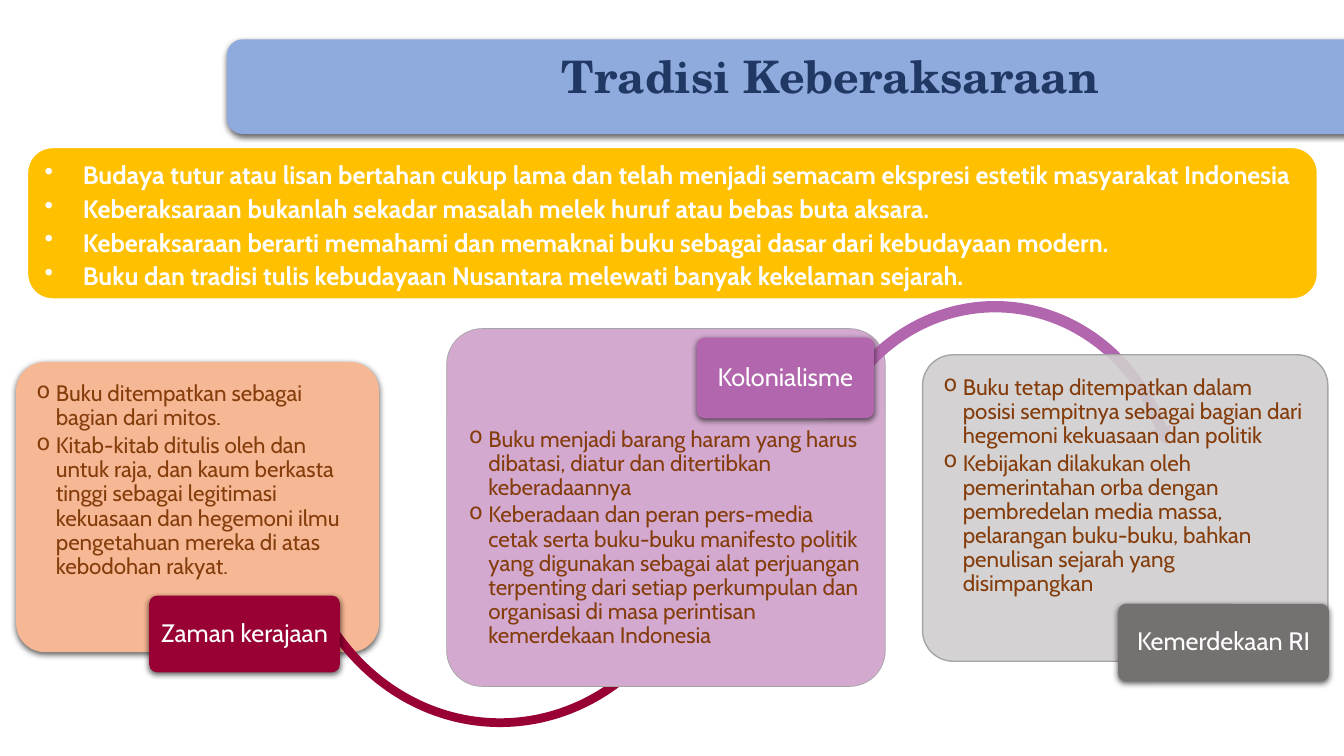
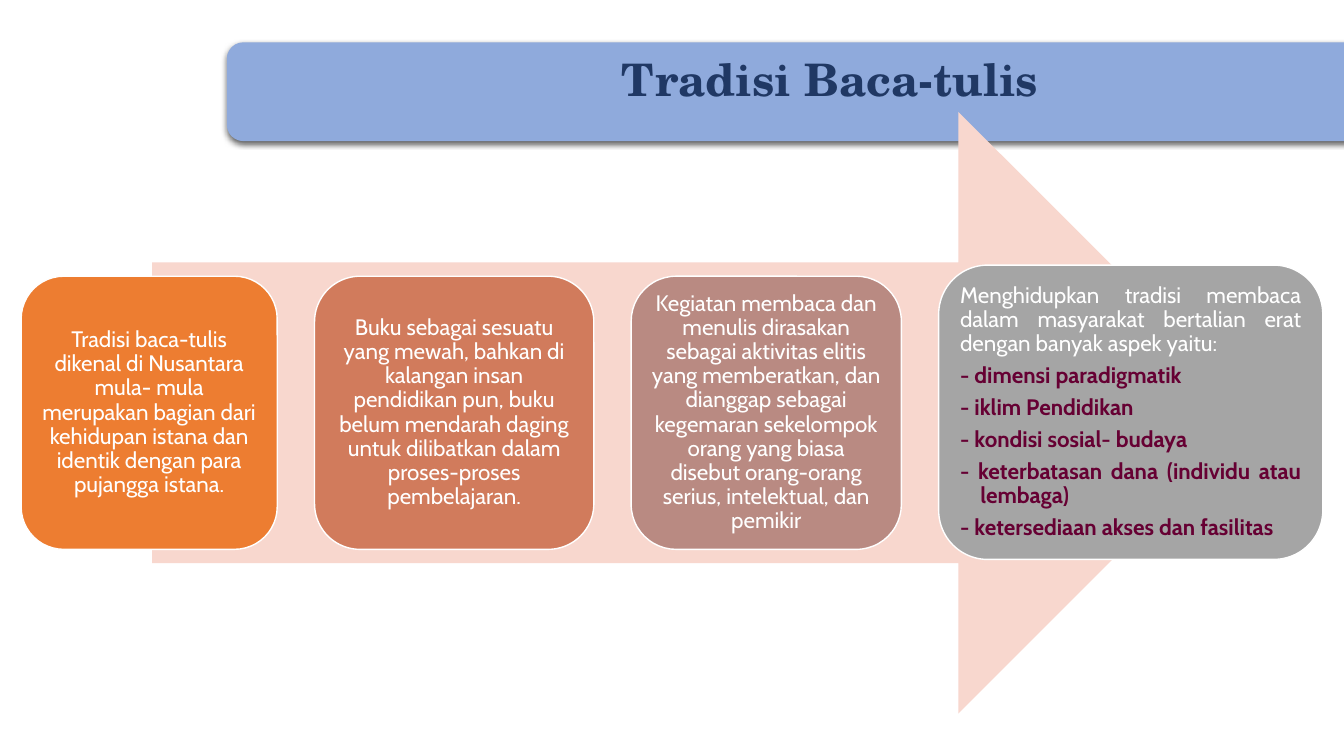
from dataclasses import dataclass, replace

from lxml import etree
from pptx import Presentation, util as u
from pptx.dml.color import RGBColor
from pptx.enum import shapes, text
from pptx.oxml.ns import qn

PX = 9144  # EMU: 100 px to the inch
WHITE = RGBColor(0xFF, 0xFF, 0xFF)
BLUE = RGBColor(0x8F, 0xAA, 0xDC)
NAVY = RGBColor(0x20, 0x38, 0x64)
GOLD = RGBColor(0xFF, 0xC0, 0x00)
BROWN = RGBColor(0x84, 0x3C, 0x0B)
PEACH = RGBColor(0xF6, 0xB7, 0x94)
CRIMSON = RGBColor(0x99, 0x00, 0x33)
LILAC = RGBColor(0xD3, 0xA9, 0xD0)
PURPLE = RGBColor(0xB2, 0x66, 0xAD)
SILVER = RGBColor(0xD0, 0xCE, 0xCE)
GREY = RGBColor(0xA5, 0xA5, 0xA5)
SLATE = RGBColor(0x76, 0x71, 0x71)
BLUSH = RGBColor(0xF8, 0xD7, 0xCE)
ORANGE = RGBColor(0xED, 0x7D, 0x31)
RUST = RGBColor(0xD1, 0x7B, 0x5C)
ROSE = RGBColor(0xB9, 0x8A, 0x82)
WINE = RGBColor(0x66, 0x00, 0x33)

KIND = shapes.MSO_SHAPE
ALIGN = text.PP_ALIGN
ANCHOR = text.MSO_ANCHOR
Rect = tuple[int, int, int, int]


@dataclass(frozen=True)
class Look:
    size: int = 16
    color: RGBColor = WHITE
    bold: bool = False
    font: str = "Cabin"
    align: ALIGN = ALIGN.CENTER
    lead: float = 0.9
    after: float = 5.6
    hang: int = 0
    bullet: str = ""


@dataclass(frozen=True)
class Form:
    """Fill, outline and effect of a shape."""
    fill: RGBColor
    line: RGBColor | None = None
    width: float = 1
    shadow: bool = False
    alpha: int = 100


@dataclass(frozen=True)
class Arc:
    kind: KIND
    rect: Rect
    bends: tuple[float, ...]


@dataclass(frozen=True)
class Era:
    rect: Rect
    form: Form
    top: int
    items: tuple[str, ...]
    tag: str
    place: Rect
    color: RGBColor
    arc: Arc | None = None


@dataclass(frozen=True)
class Step:
    width: int
    height: int
    fill: RGBColor
    lines: tuple[tuple[str, Look], ...]


TITLE = Look(32, NAVY, True, "TeX Gyre Schola", lead=1, after=0)
POINT = Look(18, bold=True, align=ALIGN.JUSTIFY, lead=1.12, after=0, hang=38, bullet="•")
ITEM = Look(color=BROWN, align=ALIGN.LEFT, after=2.4, hang=19, bullet="o")
TAG = Look(18)
BODY = Look()
LEAD = Look(align=ALIGN.JUSTIFY)
ASPECT = replace(LEAD, color=WINE, bold=True, hang=20)

POINTS = (
    "Budaya tutur atau lisan bertahan cukup lama dan telah menjadi semacam ekspresi estetik masyarakat Indonesia",
    "Keberaksaraan bukanlah sekadar masalah melek huruf atau bebas buta aksara.",
    "Keberaksaraan berarti memahami dan memaknai buku sebagai dasar dari kebudayaan modern.",
    "Buku dan tradisi tulis kebudayaan Nusantara melewati banyak kekelaman sejarah.",
)

ERAS = (
    Era((16, 359, 360, 288), Form(PEACH, shadow=True), 12, (
        "Buku ditempatkan sebagai bagian dari mitos.",
        "Kitab-kitab ditulis oleh dan untuk raja, dan kaum berkasta tinggi sebagai legitimasi "
        "kekuasaan dan hegemoni ilmu pengetahuan mereka di atas kebodohan rakyat.",
    ), "Zaman kerajaan", (148, 591, 189, 76), CRIMSON,
        Arc(KIND.LEFT_CIRCULAR_ARROW, (279, 260, 434, 470), (0.02, 2.81, 14.82, 84.5, 0.03))),
    Era((443, 326, 435, 355), Form(LILAC, GREY, 0.5), 88, (
        "Buku menjadi barang haram yang harus dibatasi, diatur dan ditertibkan keberadaannya",
        "Keberadaan dan peran pers-media cetak serta buku-buku manifesto politik yang digunakan "
        "sebagai alat perjuangan terpenting dari setiap perkumpulan dan organisasi di masa "
        "perintisan kemerdekaan Indonesia",
    ), "Kolonialisme", (691, 335, 176, 80), PURPLE,
        Arc(KIND.CIRCULAR_ARROW, (799, 293, 376, 401), (0.03, 3.33, 202.37, 133.21, 0.03))),
    Era((915, 352, 402, 304), Form(SILVER, GREY, alpha=90), 12, (
        "Buku tetap ditempatkan dalam posisi sempitnya sebagai bagian dari hegemoni kekuasaan dan politik",
        "Kebijakan dilakukan oleh pemerintahan orba dengan pembredelan media massa, pelarangan "
        "buku-buku, bahkan penulisan sejarah yang disimpangkan",
    ), "Kemerdekaan RI", (1109, 599, 209, 77), SLATE),
)

ASPECTS = (
    "- dimensi paradigmatik",
    "- iklim Pendidikan",
    "- kondisi sosial- budaya",
    "- keterbatasan dana (individu atau lembaga)",
    "- ketersediaan akses dan fasilitas",
)

STEPS = (
    Step(254, 271, ORANGE, ((
        "Tradisi baca-tulis dikenal di Nusantara mula- mula merupakan bagian dari kehidupan "
        "istana dan identik dengan para pujangga istana.", BODY),)),
    Step(277, 271, RUST, ((
        "Buku sebagai sesuatu yang mewah, bahkan di kalangan insan pendidikan pun, buku belum "
        "mendarah daging untuk dilibatkan dalam proses-proses pembelajaran.", BODY),)),
    Step(268, 271, ROSE, ((
        "Kegiatan membaca dan menulis dirasakan sebagai aktivitas elitis yang memberatkan, dan "
        "dianggap sebagai kegemaran sekelompok orang yang biasa disebut orang-orang serius, "
        "intelektual, dan pemikir", BODY),)),
    Step(381, 292, GREY, (
        ("Menghidupkan tradisi membaca dalam masyarakat bertalian erat dengan banyak aspek yaitu:", LEAD),
        *((aspect, ASPECT) for aspect in ASPECTS))),
)
LEFT, GAP, MIDDLE = 21, 37, 409


def assign(target, values: dict) -> None:
    for name, value in values.items():
        setattr(target, name, value)


def node(parent, tag: str, **attrs):
    return etree.SubElement(parent, qn(tag), {key: str(value) for key, value in attrs.items()})


def draw(slide, kind: KIND, rect: Rect, form: Form, bends: tuple[float, ...] = ()):
    shape = slide.shapes.add_shape(kind, *(u.Emu(n * PX) for n in rect))
    for i, bend in enumerate(bends):
        shape.adjustments[i] = bend
    shape.fill.solid()
    shape.fill.fore_color.rgb = form.fill
    props = shape.element.spPr
    if form.alpha < 100:
        node(props.find(qn("a:solidFill"))[0], "a:alpha", val=form.alpha * 1000)
    if form.line is None:
        shape.line.fill.background()
    else:
        shape.line.color.rgb = form.line
        shape.line.width = u.Pt(form.width)
    shape.shadow.inherit = False
    if form.shadow:
        cast = node(props.find(qn("a:effectLst")), "a:outerShdw", blurRad=u.Pt(4.5),
                    dist=u.Pt(1.5), dir=90 * 60000, algn="ctr", rotWithShape=0)
        node(node(cast, "a:srgbClr", val="000000"), "a:alpha", val=63000)
    return shape


def write(shape, lines, pad: Rect, anchor: ANCHOR = ANCHOR.MIDDLE) -> None:
    """Fill a shape with (text, look) lines; pad is left, top, right, bottom."""
    frame = shape.text_frame
    assign(frame, {"word_wrap": True, "vertical_anchor": anchor})
    sides = ("left", "top", "right", "bottom")
    assign(frame, {f"margin_{side}": u.Emu(n * PX) for side, n in zip(sides, pad)})
    for i, (words, look) in enumerate(lines):
        para = frame.add_paragraph() if i else frame.paragraphs[0]
        props = para._p.get_or_add_pPr()
        if look.hang:
            props.set("marL", str(look.hang * PX))
            props.set("indent", str(-look.hang * PX))
        if look.bullet:
            node(props, "a:buChar", char=look.bullet)
        assign(para, {"alignment": look.align, "line_spacing": look.lead,
                      "space_after": u.Pt(look.after)})
        run = para.add_run()
        run.text = words
        assign(run.font, {"name": look.font, "size": u.Pt(look.size), "bold": look.bold})
        run.font.color.rgb = look.color


def start(deck, title: str, top: int, height: int):
    """Add a slide with its title band."""
    slide = deck.slides.add_slide(deck.slide_layouts[6])
    band = draw(slide, KIND.ROUNDED_RECTANGLE, (225, top, 1147, height), Form(BLUE, shadow=True))
    write(band, [(title, TITLE)], (60, 5, 10, 5), ANCHOR.TOP)
    return slide


def show(slide, era: Era) -> None:
    card = draw(slide, KIND.ROUNDED_RECTANGLE, era.rect, era.form, (0.1,))
    write(card, [(item, ITEM) for item in era.items], (12, era.top, 12, 12), ANCHOR.TOP)
    if era.arc:
        draw(slide, era.arc.kind, era.arc.rect, Form(era.color), era.arc.bends)
    tag = draw(slide, KIND.ROUNDED_RECTANGLE, era.place, Form(era.color, shadow=True), (0.1,))
    write(tag, [(era.tag, TAG)], (4, 3, 4, 3))


def main() -> None:
    deck = Presentation()
    assign(deck, {"slide_width": u.Emu(1333 * PX), "slide_height": u.Emu(750 * PX)})

    slide = start(deck, "Tradisi Keberaksaraan", 39, 94)
    for era in ERAS:
        show(slide, era)
    panel = draw(slide, KIND.ROUNDED_RECTANGLE, (27, 146, 1280, 151), Form(GOLD, WHITE, 1.5))
    write(panel, [(point, POINT) for point in POINTS], (10, 5, 10, 5))

    slide = start(deck, "Tradisi Baca-tulis", 42, 98)
    draw(slide, KIND.RIGHT_ARROW, (151, 111, 1098, 597), Form(BLUSH))
    x = LEFT
    for step in STEPS:
        rect = (x, MIDDLE - step.height // 2, step.width, step.height)
        card = draw(slide, KIND.ROUNDED_RECTANGLE, rect, Form(step.fill, WHITE))
        write(card, step.lines, (7, 7, 7, 7))
        x += step.width + GAP

    deck.save("out.pptx")


if __name__ == "__main__":
    main()
